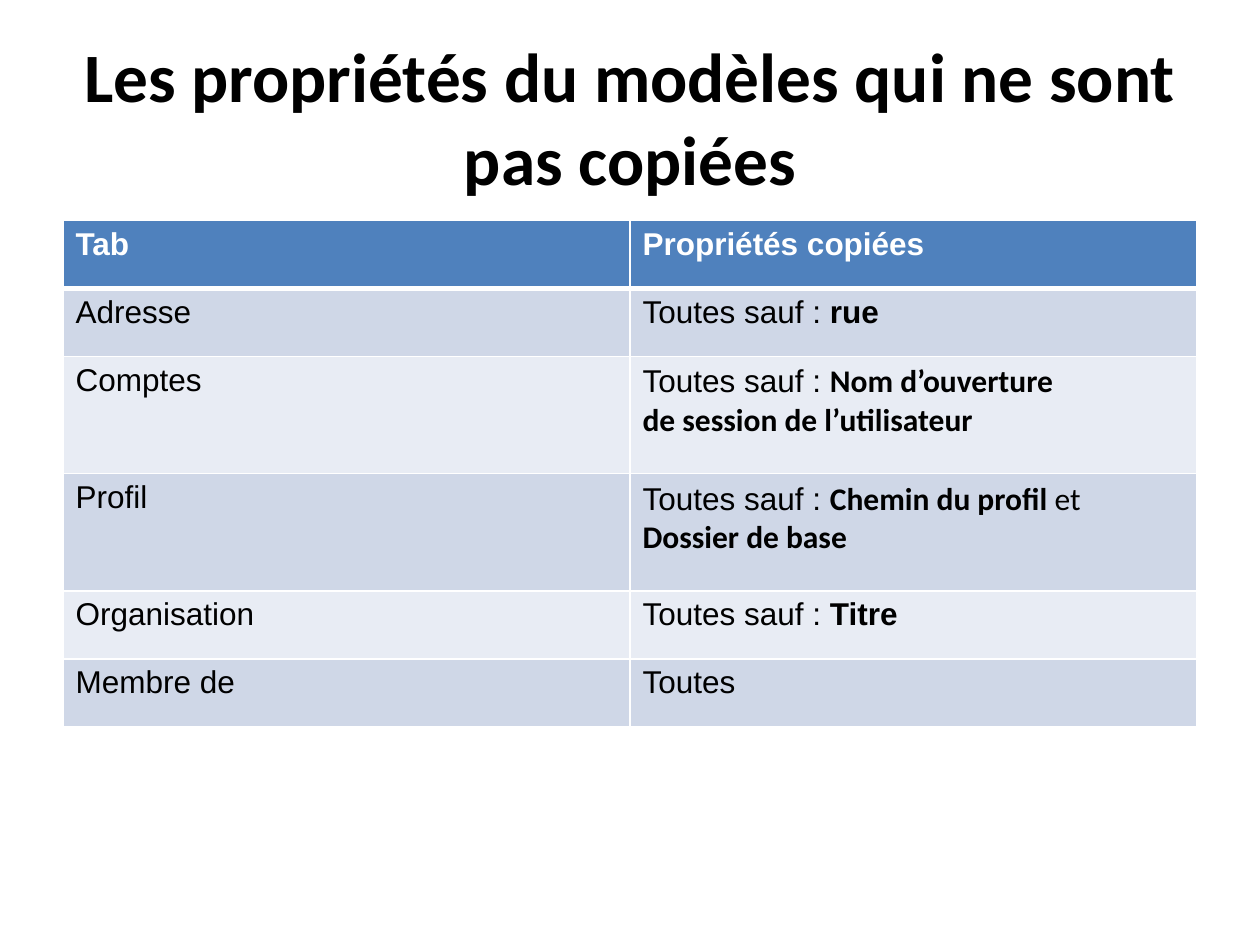
import dataclasses

import pptx
import pptx.dml.color
import pptx.enum.text
import pptx.oxml
import pptx.oxml.ns
import pptx.util

Cm = pptx.util.Cm
Pt = pptx.util.Pt


@dataclasses.dataclass(frozen=True)
class Theme:
    ink: str = "000000"
    white: str = "FFFFFF"
    head: str = "4F81BD"
    bands: tuple = ("CFD7E7", "E8ECF4")
    sans: str = "Arial"
    title: str = "Calibri"
    big: float = 39.6
    body: float = 18
    thin: float = 1
    thick: float = 3


THEME = Theme()
TITLE = "Les propriétés du modèles qui ne sont pas copiées"
HEADS = ("Tab", "Propriétés copiées")
SAUF = "Toutes sauf : "

# Each row: tab name, then lines of (text, bold, font) runs
ROWS = (
    ("Adresse", [[(SAUF, False, THEME.sans), ("rue", True, THEME.sans)]]),
    ("Comptes", [
        [(SAUF, False, THEME.sans), ("Nom d’ouverture", True, THEME.title)],
        [("de session de l’utilisateur", True, THEME.title)],
    ]),
    ("Profil", [
        [(SAUF, False, THEME.sans), ("Chemin du profil ", True, THEME.title),
         ("et", False, THEME.title)],
        [("Dossier de base", True, THEME.title)],
    ]),
    ("Organisation", [[(SAUF, False, THEME.sans), ("Titre", True, THEME.sans)]]),
    ("Membre de", [[("Toutes", False, THEME.sans)]]),
)


def rgb(code):
    return pptx.dml.color.RGBColor.from_string(code)


def write(par, text, font=THEME.sans, size=THEME.body, color=THEME.ink, bold=False):
    """Add one formatted run to a paragraph."""
    run = par.add_run()
    run.text = text
    run.font.name = font
    run.font.size = Pt(size)
    run.font.bold = bold
    run.font.color.rgb = rgb(color)


def paint(cell, fill, base=THEME.thin):
    """Give a cell its white borders and its fill."""
    props = cell._tc.get_or_add_tcPr()
    sides = {"lnL": THEME.thin, "lnR": THEME.thin, "lnT": THEME.thin, "lnB": base}
    for side, width in sides.items():
        props.append(pptx.oxml.parse_xml(
            f'<a:{side} {pptx.oxml.ns.nsdecls("a")} w="{Pt(width)}"><a:solidFill>'
            f'<a:srgbClr val="{THEME.white}"/></a:solidFill></a:{side}>'))
    cell.fill.solid()
    cell.fill.fore_color.rgb = rgb(fill)


def add_title(slide, left, top, width, height):
    shape = slide.shapes.title
    shape.left, shape.top, shape.width, shape.height = left, top, width, height
    frame = shape.text_frame
    frame.word_wrap = True
    frame.auto_size = pptx.enum.text.MSO_AUTO_SIZE.NONE
    frame.vertical_anchor = pptx.enum.text.MSO_ANCHOR.MIDDLE
    par = frame.paragraphs[0]
    par.alignment = pptx.enum.text.PP_ALIGN.CENTER
    write(par, TITLE, font=THEME.title, size=THEME.big, bold=True)


def add_grid(slide, left, top, width):
    # Rows grow with their number of lines
    tall = [Cm(1.37)] + [Cm(1.37 + 0.99 * (len(lines) - 1)) for _, lines in ROWS]
    grid = slide.shapes.add_table(len(tall), len(HEADS), left, top, width, sum(tall)).table
    for row, height in zip(grid.rows, tall):
        row.height = height

    # Header
    for col, text in enumerate(HEADS):
        cell = grid.cell(0, col)
        paint(cell, THEME.head, base=THEME.thick)
        write(cell.text_frame.paragraphs[0], text, color=THEME.white, bold=True)

    # Body, in alternating bands
    for at, (tab, lines) in enumerate(ROWS):
        name, props = grid.cell(at + 1, 0), grid.cell(at + 1, 1)
        for cell in (name, props):
            paint(cell, THEME.bands[at % 2])
        write(name.text_frame.paragraphs[0], tab)
        frame = props.text_frame
        for num, line in enumerate(lines):
            par = frame.add_paragraph() if num else frame.paragraphs[0]
            for text, bold, font in line:
                write(par, text, font=font, bold=bold)


def main():
    deck = pptx.Presentation()
    deck.slide_width, deck.slide_height = Cm(25.4), Cm(19.05)
    slide = deck.slides.add_slide(deck.slide_layouts[5])
    left, width = Cm(1.27), Cm(22.86)
    add_title(slide, left, Cm(0.76), width, Cm(3.18))
    add_grid(slide, left, Cm(4.45), width)
    deck.save("out.pptx")


if __name__ == "__main__":
    main()
